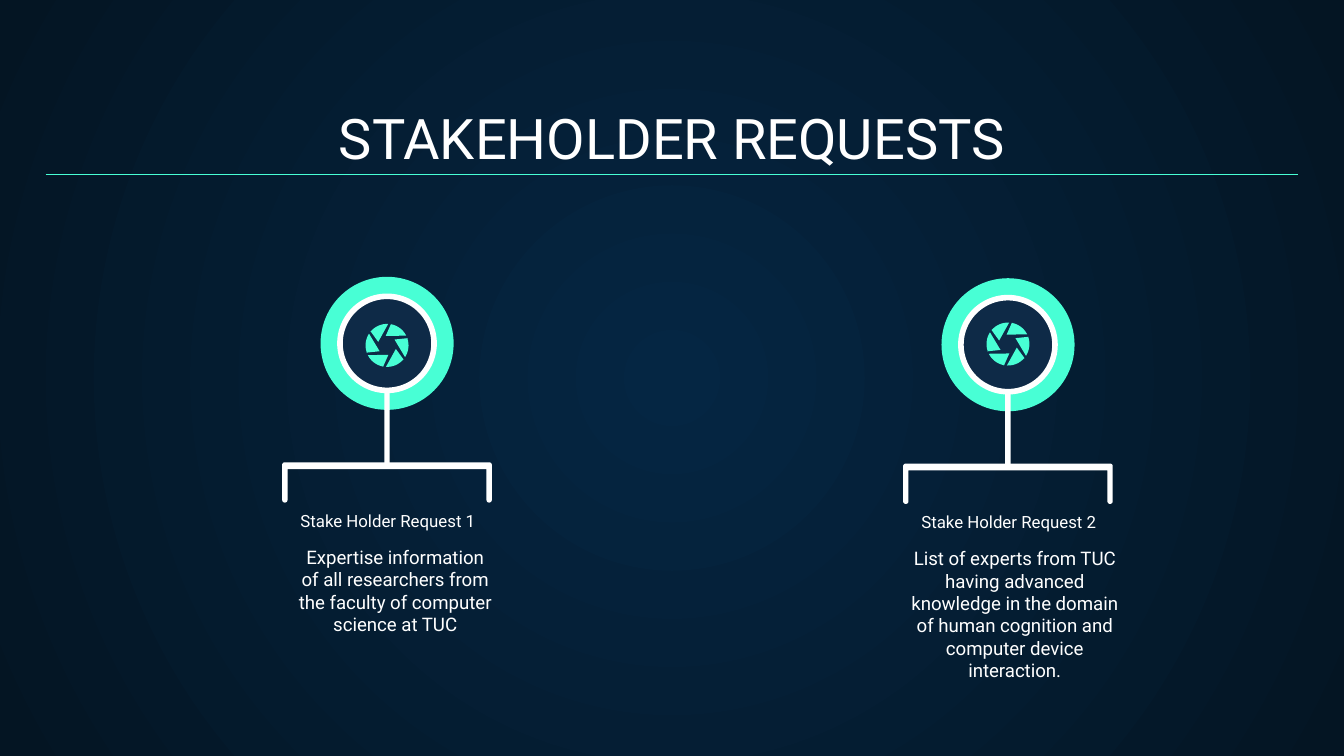
from math import atan2, cos, hypot, pi, radians, sin

from lxml import etree
from pptx import Presentation
from pptx.dml.color import RGBColor
from pptx.enum.shapes import MSO_CONNECTOR, MSO_SHAPE
from pptx.enum.text import MSO_ANCHOR, MSO_AUTO_SIZE, PP_ALIGN
from pptx.oxml.ns import qn
from pptx.util import Inches, Pt

OVAL, ROUND = MSO_SHAPE.OVAL, MSO_SHAPE.ROUNDED_RECTANGLE
LINE = MSO_CONNECTOR.STRAIGHT
TOP, BOTTOM = MSO_ANCHOR.TOP, MSO_ANCHOR.BOTTOM
CENTER, FIXED = PP_ALIGN.CENTER, MSO_AUTO_SIZE.NONE
WHITE, MINT, NAVY = "FFFFFF", "48FFD5", "0E2A47"


def paint(color, value):
    color.rgb = RGBColor.from_string(value)


def style(shape, fill):
    shape.shadow.inherit = False
    shape.fill.solid()
    paint(shape.fill.fore_color, fill)
    shape.line.fill.background()
    return shape


def preset(slide, kind, box, fill):
    return style(slide.shapes.add_shape(kind, *map(Inches, box)), fill)


def outline(shapes, points, fill):
    """Draw a closed, filled outline through points in inches."""
    spots = [(Inches(x), Inches(y)) for x, y in points]
    form = shapes.build_freeform(*spots[0])
    form.add_line_segments(spots[1:])
    return style(form.convert_to_shape(), fill)


def arc(x, y, r, start, end, steps=8):
    """Points on a circle; angles in degrees, clockwise from the right."""
    turns = [radians(start + (end - start) * i / steps)
             for i in range(steps + 1)]
    return [(x + r * cos(t), y + r * sin(t)) for t in turns]


def write(holder, box, text, size, anchor):
    holder.left, holder.top, holder.width, holder.height = map(Inches, box)
    frame = holder.text_frame
    frame.word_wrap, frame.auto_size = True, FIXED
    frame.vertical_anchor = anchor
    frame.margin_left = frame.margin_right = Inches(0.1)
    frame.margin_top = frame.margin_bottom = Inches(0.1)
    para = frame.paragraphs[0]
    para.alignment = CENTER
    para.space_before = Pt(0)
    props = para._p.get_or_add_pPr()
    props.set("marL", "0")
    props.set("indent", "0")
    etree.SubElement(props, qn("a:buNone"))
    run = para.add_run()
    run.text = text
    run.font.name, run.font.size = "Roboto", Pt(size)
    run.font.bold = False
    paint(run.font.color, WHITE)


def backdrop(slide):
    fill = slide.background.fill
    fill.gradient()
    for stop, value in zip(fill.gradient_stops, ("052643", "041523")):
        paint(stop.color, value)
    lin = slide.element.xpath(".//p:bg//a:lin")[0]
    glow = etree.Element(qn("a:path"), {"path": "circle"})
    etree.SubElement(glow, qn("a:fillToRect"),
                     dict.fromkeys("ltrb", "50000"))
    lin.getparent().replace(lin, glow)


def header(slide, left, top, width):
    write(slide.shapes.title, (left, top, width, 0.66),
          "STAKEHOLDER REQUESTS", 30, BOTTOM)
    y = Inches(top + 0.59)
    rule = slide.shapes.add_connector(
        LINE, Inches(left), y, Inches(left + width), y)
    rule.line.width = Pt(0.75)
    paint(rule.line.color, MINT)
    etree.SubElement(rule._element.spPr, qn("a:effectLst"))


def bracket(slide, left, top, width=1.56, height=0.3):
    r, right, foot = 0.02, left + width, top + height
    points = (arc(left + r, top + r, r, 180, 270)
              + arc(right - r, top + r, r, 270, 360)
              + arc(right - r, foot - r, r, 0, 180)
              + [(right - 2 * r, top + 0.05), (left + 2 * r, top + 0.05)]
              + arc(left + r, foot - r, r, 0, 180))
    outline(slide.shapes, points, WHITE)


def shutter(slide, x, y, r=0.16):
    """Six equal blades turned around a centre."""
    blade = [(0.03, -r), (-0.01, -0.07)] + arc(0, 0, r, -27, -79)
    group = slide.shapes.add_group_shape()
    for i in range(6):
        turned = []
        for dx, dy in blade:
            reach, angle = hypot(dx, dy), atan2(dy, dx) + i * pi / 3
            turned.append((x + reach * cos(angle), y + reach * sin(angle)))
        outline(group.shapes, turned, MINT)


def request(slide, mid, top, icon, head, label, body, text, shift, width):
    """Place a badge with its text; icon is the drop to the shutter's centre."""
    full = 0.99

    def disk(size, fill):
        box = (mid - size / 2, top + (full - size) / 2, size, size)
        return preset(slide, OVAL, box, fill)

    bracket(slide, mid - 0.78, top + 1.38)
    disk(full, MINT)
    stem = preset(slide, ROUND, (mid - 0.02, top + 0.42, 0.04, 1), WHITE)
    stem.adjustments[0] = 0.5
    ring = disk(0.7, NAVY)
    ring.line.width = Pt(3)
    paint(ring.line.color, WHITE)
    shutter(slide, mid, top + icon)
    write(head, (mid - 1.13, top + 1.78, 2.27, 0.21), label, 9, BOTTOM)
    write(body, (mid + shift, top + 1.9, width, 0.55), text, 10, TOP)


def main():
    deck = Presentation()
    deck.slide_width = Inches(10)
    deck.slide_height = deck.slide_width * 9 // 16
    slide = deck.slides.add_slide(deck.slide_layouts.get_by_name("Comparison"))
    spots = slide.placeholders
    backdrop(slide)
    header(slide, 0.34, 0.71, 9.32)
    request(slide, 2.88, 2.06, 0.51, spots[1], "Stake Holder Request 1",
            spots[2], "Expertise information of all researchers from the "
            "faculty of computer science at TUC", -0.76, 1.64)
    request(slide, 7.5, 2.07, 0.49, spots[3], "Stake Holder Request 2",
            spots[4], "List of experts from TUC having advanced knowledge in "
            "the domain of human cognition and computer device interaction.",
            -0.88, 1.86)
    deck.save("out.pptx")


if __name__ == "__main__":
    main()
